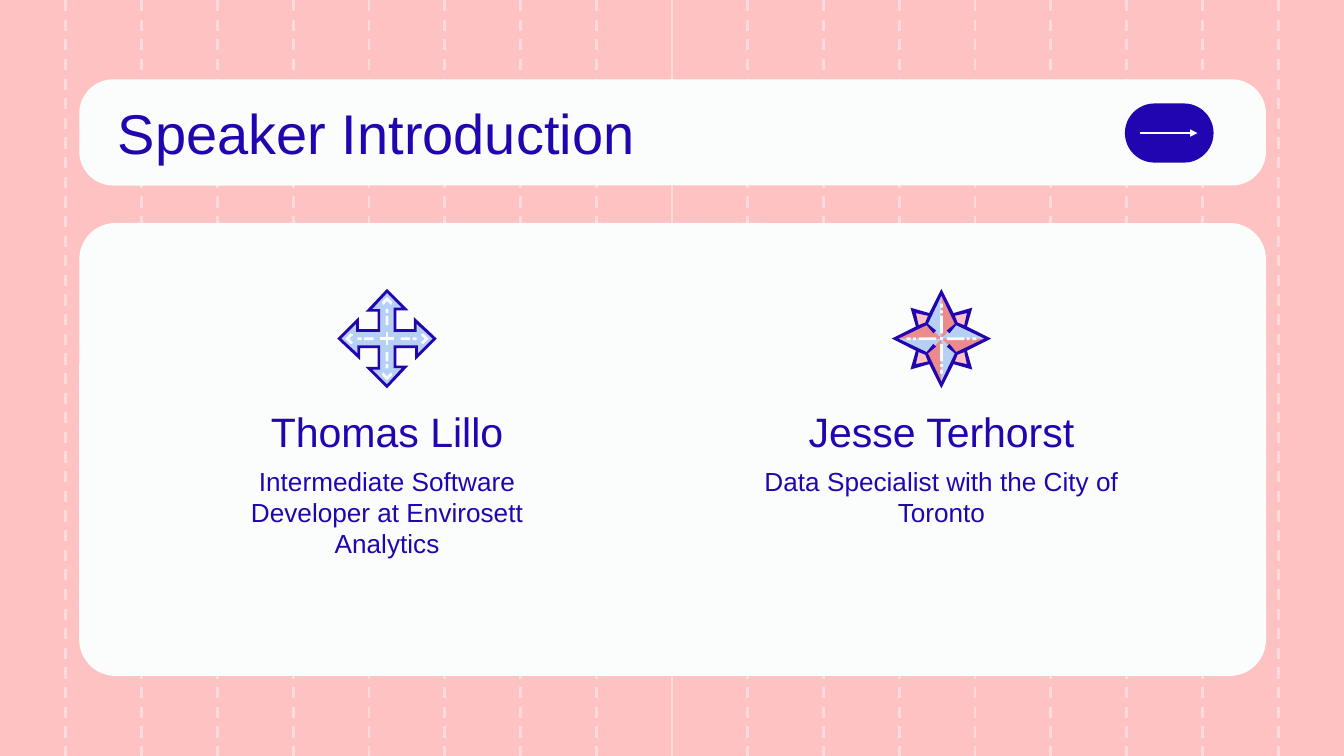
import lxml.etree
import pptx
import pptx.dml.color
import pptx.enum.dml
import pptx.enum.shapes
import pptx.enum.text
import pptx.oxml.ns
import pptx.util

Inches = pptx.util.Inches
Shape = pptx.enum.shapes.MSO_SHAPE
Align = pptx.enum.text.PP_ALIGN
Anchor = pptx.enum.text.MSO_ANCHOR
PINK, PALE, WHITE = "FFC2C2", "FFDADA", "FBFCFC"
NAVY, BLUE, CORAL = "2105B1", "B6CFF5", "EC8B8B"


def color(code):
    return pptx.dml.color.RGBColor.from_string(code)


def turn(points, count):
    for _ in range(count):
        points = [(-y, x) for x, y in points]
    return points


def ring(points):
    return [p for n in range(4) for p in turn(points, n)]


def bar(top, bottom):
    return [(-0.01, top), (0.01, top), (0.01, bottom), (-0.01, bottom)]


class Deck:
    """Holds the style and current slide, and draws each kind of element."""

    def __init__(self, width, height):
        self.show = pptx.Presentation()
        self.show.slide_width = Inches(width)
        self.show.slide_height = Inches(height)
        self.font = "Arial"
        self.ink = NAVY

    def page(self, fill):
        self.slide = self.show.slides.add_slide(self.show.slide_layouts[6])
        back = self.slide.background.fill
        back.solid()
        back.fore_color.rgb = color(fill)

    def paint(self, shape, fill):
        shape.shadow.inherit = False
        shape.fill.solid()
        shape.fill.fore_color.rgb = color(fill)
        shape.line.fill.background()

    def panel(self, x, y, w, h, round, fill):
        shape = self.slide.shapes.add_shape(
            Shape.ROUNDED_RECTANGLE, Inches(x), Inches(y), Inches(w), Inches(h))
        shape.adjustments[0] = round
        self.paint(shape, fill)

    def line(self, start, end, code, dash=False, arrow=False):
        link = self.slide.shapes.add_connector(
            pptx.enum.shapes.MSO_CONNECTOR.STRAIGHT,
            *[Inches(v) for v in (*start, *end)])
        link.line.color.rgb = color(code)
        link.line.width = pptx.util.Pt(1.5)
        if dash:
            link.line.dash_style = pptx.enum.dml.MSO_LINE.DASH
        qn = pptx.oxml.ns.qn
        if arrow:
            lxml.etree.SubElement(
                link.line._get_or_add_ln(), qn("a:tailEnd"),
                type="triangle", w="sm", len="sm")
        lxml.etree.SubElement(link._element.spPr, qn("a:effectLst"))

    def free(self, center, fill, *loops):
        cx, cy = center
        pen = None
        for loop in loops:
            spots = [(Inches(cx + x), Inches(cy + y)) for x, y in loop]
            if pen is None:
                pen = self.slide.shapes.build_freeform(*spots[0])
            else:
                pen.move_to(*spots[0])
            pen.add_line_segments(spots[1:], close=True)
        self.paint(pen.convert_to_shape(), fill)

    def text(self, words, x, y, w, h, size=14, align=Align.CENTER, anchor=Anchor.MIDDLE):
        box = self.slide.shapes.add_textbox(Inches(x), Inches(y), Inches(w), Inches(h))
        frame = box.text_frame
        frame.word_wrap = True
        frame.vertical_anchor = anchor
        for side in ("left", "top", "right", "bottom"):
            setattr(frame, "margin_" + side, Inches(0.1))
        para = frame.paragraphs[0]
        para.alignment = align
        run = para.add_run()
        run.text = words
        run.font.name = self.font
        run.font.size = pptx.util.Pt(size)
        run.font.color.rgb = color(self.ink)

    def cross(self, center):
        body = [(0, -0.36), (0.13, -0.22), (0.06, -0.22),
                (0.06, -0.06), (0.22, -0.06), (0.22, -0.13)]
        rim = [(0, -0.37), (0.16, -0.21), (0.07, -0.21),
               (0.07, -0.07), (0.2, -0.07), (0.2, -0.16)]
        hole = [(0, -0.34), (0.11, -0.23), (0.05, -0.23),
                (0.05, -0.05), (0.22, -0.05), (0.22, -0.11)]
        tip = [(0, -0.31), (0.04, -0.27), (0.03, -0.25),
               (0, -0.28), (-0.03, -0.25), (-0.04, -0.27)]
        self.free(center, BLUE, ring(body))
        self.free(center, NAVY, ring(rim), ring(hole))
        for n in range(4):
            self.free(center, WHITE, turn(tip, n))
            self.free(center, WHITE, turn(bar(-0.22, -0.19), n), turn(bar(-0.17, -0.1), n))
        for n in range(2):
            self.free(center, WHITE, turn(bar(-0.05, 0.05), n))

    def star(self, center):
        rim = [(0, -0.37), (0.09, -0.19), (0.23, -0.23), (0.19, -0.09)]
        hole = [(0, -0.32), (0.1, -0.11), (0.04, -0.06), (0.06, -0.04), (0.11, -0.1)]
        gap = [(0.19, -0.19), (0.17, -0.1), (0.12, -0.12), (0.1, -0.17)]
        marks = [bar(-0.26, -0.23), bar(-0.21, -0.19), bar(-0.17, -0.04)]
        self.free(center, PINK, ring([(0.2, -0.2), (0.14, 0)]))
        for n in range(4):
            for side, fill in ((-0.11, BLUE), (0.11, CORAL)):
                self.free(center, fill, turn([(0, 0), (0, -0.35), (side, -0.11)], n))
        self.free(center, NAVY, ring(rim), ring(hole), *[turn(gap, n) for n in range(4)])
        for n in range(4):
            self.free(center, WHITE, *[turn(mark, n) for mark in marks])
        self.free(center, "FFFFFF", bar(-0.01, 0.01))


def main():
    wide = 10
    tall = wide * 9 / 16
    deck = Deck(wide, tall)
    deck.page(PINK)
    for n in range(17):
        x = 0.49 + n * 9.02 / 16
        deck.line((x, 0), (x, tall), PALE, dash=n != 8)
    deck.panel(0.59, 0.59, 8.83, 0.79, 0.32, WHITE)
    deck.panel(0.59, 1.66, 8.83, 3.37, 0.08, WHITE)
    deck.text("Speaker Introduction", 0.78, 0.67, 8.44, 0.63, size=30, align=Align.LEFT)
    people = [
        ("Thomas Lillo", "Intermediate Software Developer at Envirosett Analytics",
         1.49, 2.78, deck.cross),
        ("Jesse Terhorst", "Data Specialist with the City of Toronto",
         5.5, 3.01, deck.star),
    ]
    for name, role, x, w, icon in people:
        deck.text(name, x, 3.09, w, 0.23, size=22)
        deck.text(role, x, 3.36, w, 1.12, anchor=Anchor.TOP)
        icon((x + w / 2, 2.52))
    deck.panel(8.37, 0.77, 0.66, 0.44, 0.5, NAVY)
    deck.line((8.48, 0.99), (8.91, 0.99), WHITE, arrow=True)
    deck.show.save("out.pptx")


if __name__ == "__main__":
    main()
